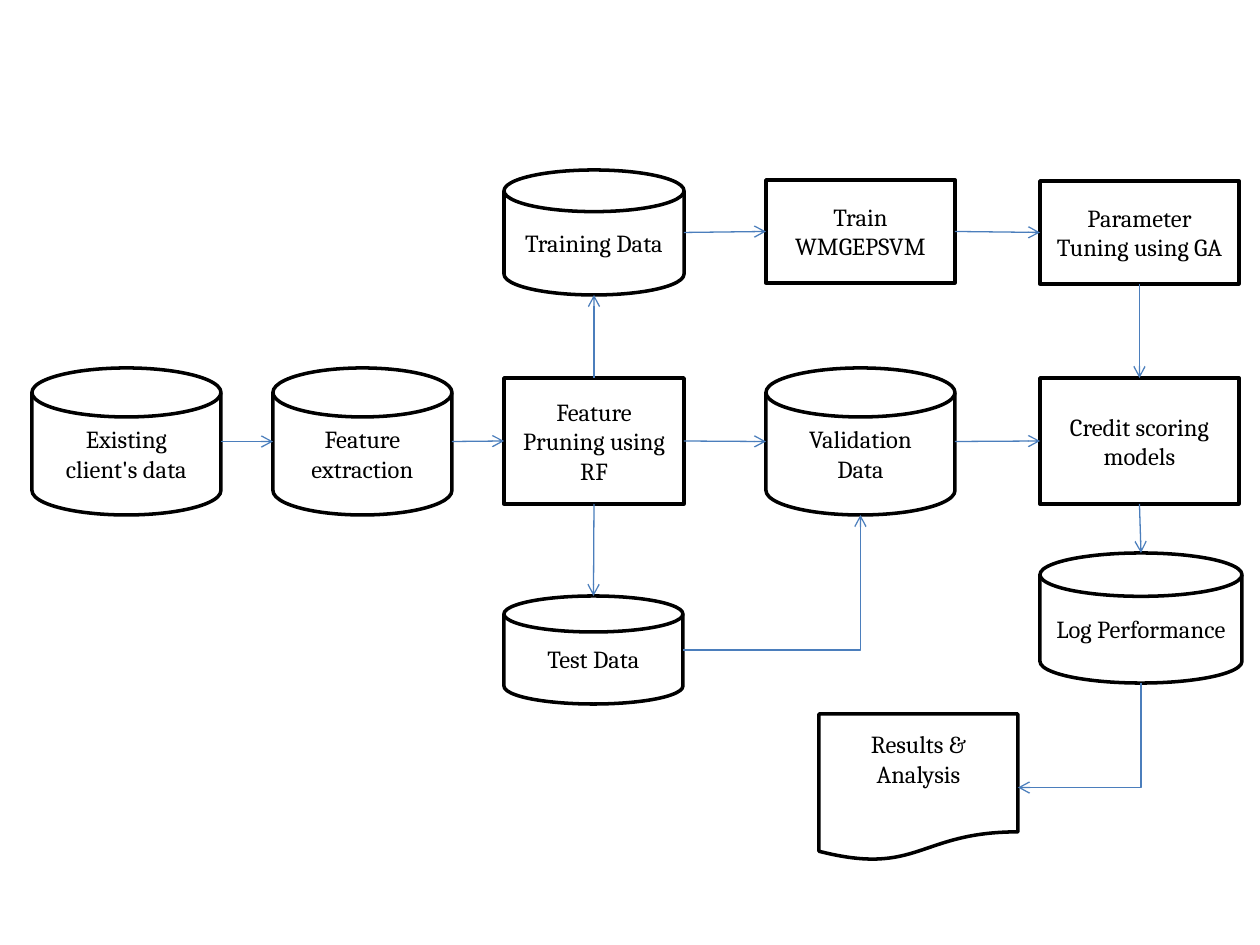
from dataclasses import dataclass

from pptx import Presentation
from pptx.dml.color import RGBColor
from pptx.enum.shapes import MSO_CONNECTOR, MSO_SHAPE
from pptx.enum.text import MSO_ANCHOR, PP_ALIGN
from pptx.oxml.ns import qn
from pptx.oxml.xmlchemy import OxmlElement
from pptx.util import Emu, Pt


@dataclass(frozen=True)
class Theme:
    """Colours, type and line weights of the slide."""
    paper: RGBColor = RGBColor(0xFF, 0xFF, 0xFF)
    ink: RGBColor = RGBColor(0x00, 0x00, 0x00)
    arrow: RGBColor = RGBColor(0x4B, 0x7E, 0xBC)
    font: str = "Cambria"
    text_size: Pt = Pt(14)
    outline: Pt = Pt(2)
    arrow_width: Pt = Pt(0.75)


@dataclass(frozen=True)
class Box:
    """A rectangle in px with the middles of its sides."""
    left: int
    top: int
    width: int
    height: int

    def side(self, name):
        """Return the middle point of the named side."""
        across, down = {"left": (0, 0.5), "right": (1, 0.5),
                        "top": (0.5, 0), "bottom": (0.5, 1)}[name]
        return self.left + across * self.width, self.top + down * self.height


THEME = Theme()
DISK = MSO_SHAPE.FLOWCHART_MAGNETIC_DISK
PROCESS = MSO_SHAPE.RECTANGLE
DOCUMENT = MSO_SHAPE.FLOWCHART_DOCUMENT

STEPS = {
    "existing": (DISK, Box(0, 198, 189, 147), "Existing\vclient's data"),
    "extraction": (DISK, Box(241, 198, 179, 147), "Feature extraction"),
    "pruning": (PROCESS, Box(472, 208, 180, 126), "Feature Pruning using RF"),
    "training": (DISK, Box(472, 0, 180, 125), "Training Data"),
    "test": (DISK, Box(472, 426, 179, 108), "Test Data"),
    "train": (PROCESS, Box(734, 10, 189, 103), "Train WMGEPSVM"),
    "validation": (DISK, Box(734, 198, 189, 147), "Validation\nData"),
    "tuning": (PROCESS, Box(1008, 11, 199, 103), "Parameter Tuning using GA"),
    "scoring": (PROCESS, Box(1008, 208, 199, 126), "Credit scoring models"),
    "log": (DISK, Box(1008, 383, 202, 130), "Log Performance"),
    "results": (DOCUMENT, Box(787, 544, 199, 147), "Results & Analysis"),
}

STRAIGHT_ARROWS = [
    ("existing", "right", "extraction", "left"),
    ("extraction", "right", "pruning", "left"),
    ("pruning", "top", "training", "bottom"),
    ("pruning", "bottom", "test", "top"),
    ("pruning", "right", "validation", "left"),
    ("training", "right", "train", "left"),
    ("train", "right", "tuning", "left"),
    ("validation", "right", "scoring", "left"),
    ("tuning", "bottom", "scoring", "top"),
    ("scoring", "bottom", "log", "top"),
]


def px(length):
    """Turn px into EMU."""
    return Emu(round(length * 914400 / 126))


def add_step(slide, kind, box, text):
    """Add one outlined step with centred text."""
    shape = slide.shapes.add_shape(kind, px(box.left), px(box.top), px(box.width), px(box.height))
    shape.shadow.inherit = False
    shape.fill.solid()
    shape.fill.fore_color.rgb = THEME.paper
    shape.line.color.rgb = THEME.ink
    shape.line.width = THEME.outline
    frame = shape.text_frame
    frame.word_wrap = True
    frame.vertical_anchor = MSO_ANCHOR.MIDDLE
    if kind == DOCUMENT:
        frame.margin_bottom = px(35)
    frame.text = text
    for paragraph in frame.paragraphs:
        paragraph.alignment = PP_ALIGN.CENTER
        for run in paragraph.runs:
            run.font.name = THEME.font
            run.font.size = THEME.text_size
            run.font.color.rgb = THEME.ink


def add_arrow(slide, start, end, kind=MSO_CONNECTOR.STRAIGHT):
    """Add a connector with an open arrowhead at its end."""
    connector = slide.shapes.add_connector(kind, *map(px, (*start, *end)))
    connector.line.color.rgb = THEME.arrow
    connector.line.width = THEME.arrow_width
    properties = connector.element.spPr
    arrowhead = OxmlElement("a:tailEnd")
    arrowhead.set("type", "arrow")
    properties.find(qn("a:ln")).append(arrowhead)
    properties.append(OxmlElement("a:effectLst"))
    return connector


def add_corner_arrow(slide, start, end, down_first=False):
    """Add an arrow with one right-angle bend."""
    if down_first:
        middle_x, middle_y = (start[0] + end[0]) / 2, (start[1] + end[1]) / 2
        half_width, half_height = abs(end[1] - start[1]) / 2, abs(end[0] - start[0]) / 2
        start = middle_x - half_width, middle_y - half_height
        end = middle_x + half_width, middle_y + half_height
    connector = add_arrow(slide, start, end, MSO_CONNECTOR.ELBOW)
    properties = connector.element.spPr
    properties.find(qn("a:prstGeom")).set("prst", "bentConnector2")
    if down_first:
        properties.find(qn("a:xfrm")).set("rot", "5400000")


def add_flowchart(slide, area):
    """Place the steps and arrows of the scoring process in the area."""
    boxes = {}
    for name, (kind, box, text) in STEPS.items():
        boxes[name] = Box(area.left + box.left, area.top + box.top, box.width, box.height)
        add_step(slide, kind, boxes[name], text)
    for source, source_side, target, target_side in STRAIGHT_ARROWS:
        add_arrow(slide, boxes[source].side(source_side), boxes[target].side(target_side))
    add_corner_arrow(slide, boxes["test"].side("right"), boxes["validation"].side("bottom"))
    add_corner_arrow(slide, boxes["log"].side("bottom"), boxes["results"].side("right"),
                     down_first=True)


def main():
    """Build and save the presentation."""
    presentation = Presentation()
    presentation.slide_width, presentation.slide_height = px(1260), px(945)
    slide = presentation.slides.add_slide(presentation.slide_layouts.get_by_name("Blank"))
    add_flowchart(slide, Box(32, 170, 1210, 691))
    presentation.save("out.pptx")


if __name__ == "__main__":
    main()
